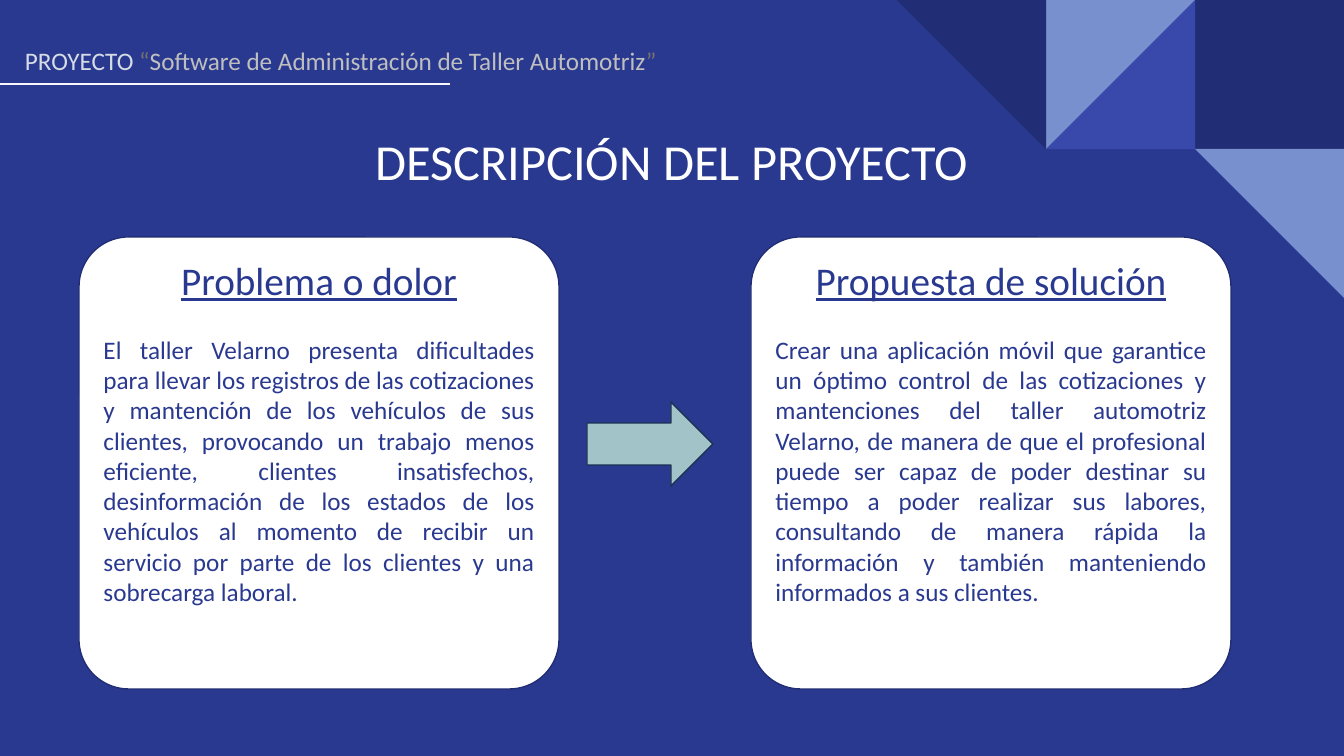
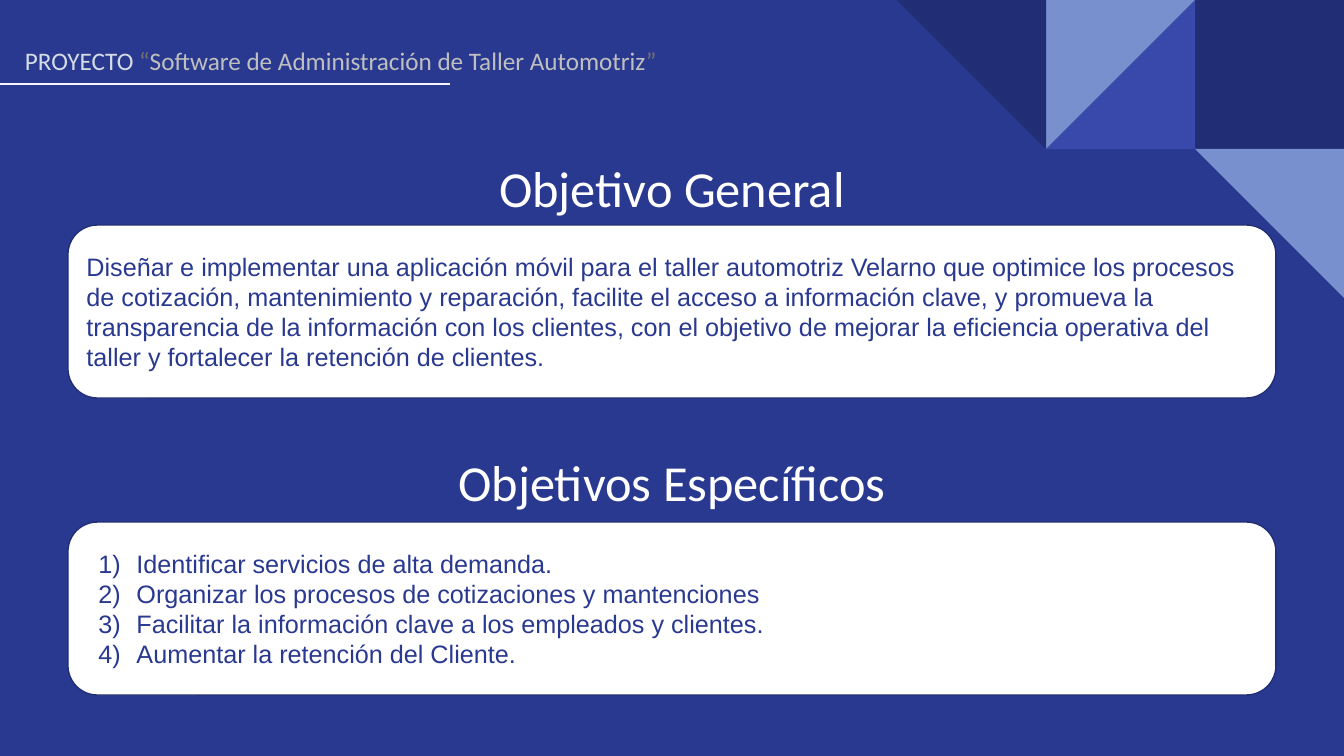
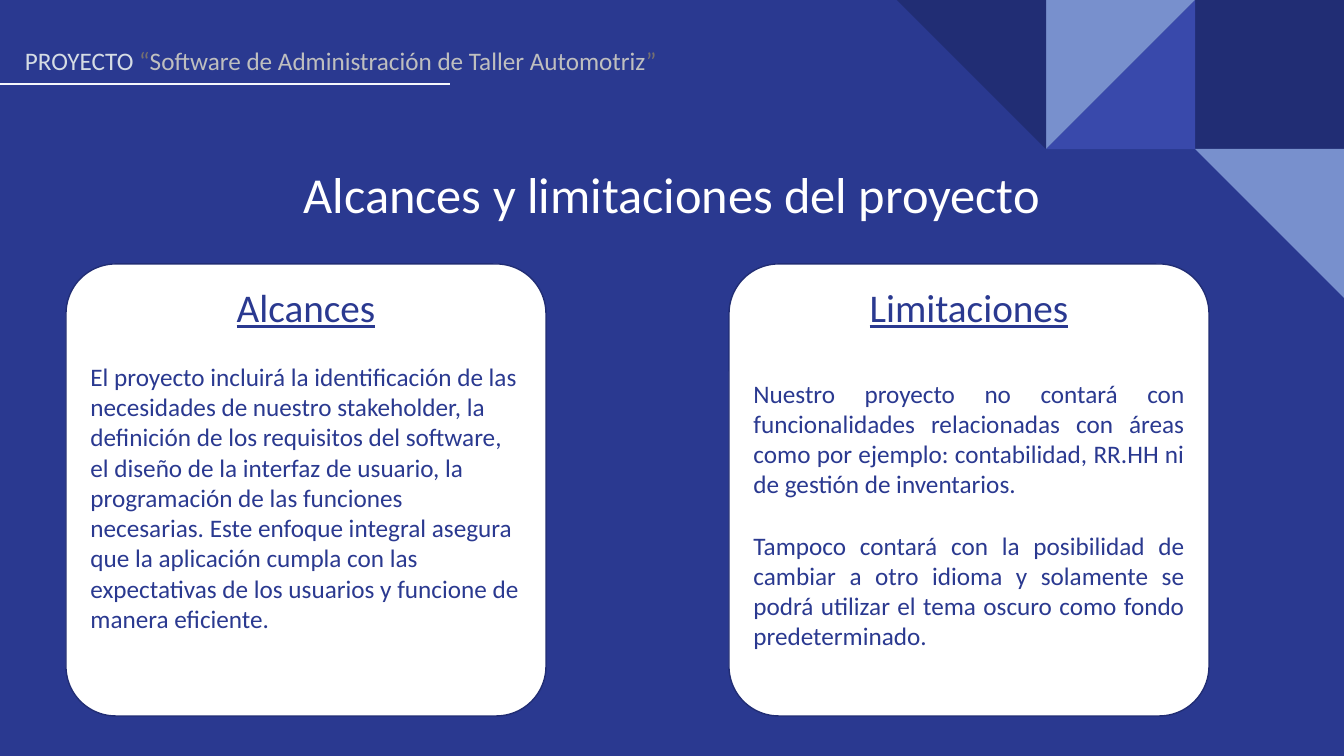
"""Builds three slides describing a workshop management software project."""
from lxml import etree
from pptx import Presentation
from pptx import util as u
from pptx.dml.color import RGBColor
from pptx.enum import shapes, text
from pptx.oxml.ns import qn

WIDTH, HEIGHT = 1344, 756
SCALE = 12192000 / WIDTH
COLORS = {
    "background": "2A3990", "navy": "212D74", "indigo": "3949AB", "sky": "7890CD",
    "white": "FFFFFF", "rule": "F5F7FC", "label": "D5DCE4", "quote": "757070",
    "project": "BFBFBF", "arrow": "A2C4C9", "arrow_edge": "1C3052",
}
LEFT, CENTER, JUSTIFY = text.PP_ALIGN.LEFT, text.PP_ALIGN.CENTER, text.PP_ALIGN.JUSTIFY
TOP, MIDDLE = text.MSO_ANCHOR.TOP, text.MSO_ANCHOR.MIDDLE
KIND = shapes.MSO_SHAPE

HEADER = [
    ("PROYECTO ", "label"), ("“", "quote"),
    ("Software de Administración de Taller Automotriz", "project"), ("”", "quote"),
]
TILE = 149
TILES = [
    (2, 0, KIND.RECTANGLE, 0, "navy"),
    (1, 0, KIND.RIGHT_TRIANGLE, 270, "indigo"),
    (1, 0, KIND.RIGHT_TRIANGLE, 90, "sky"),
    (0, 0, KIND.RIGHT_TRIANGLE, 180, "navy"),
    (2, 1, KIND.RIGHT_TRIANGLE, 180, "sky"),
]
CARD_SIZE = (480, 452)
PANEL_LEFT, PANEL_SIZE = 68, (1208, 173)

DESCRIPTION = {
    "title": ("DESCRIPCIÓN DEL PROYECTO", 125),
    "top": 237,
    "cards": [
        (79, "Problema o dolor", JUSTIFY, [
            (22, "El taller Velarno presenta dificultades para llevar los registros de las "
                 "cotizaciones y mantención de los vehículos de sus clientes, provocando un "
                 "trabajo menos eficiente, clientes insatisfechos, desinformación de los "
                 "estados de los vehículos al momento de recibir un servicio por parte de los "
                 "clientes y una sobrecarga laboral.")]),
        (751, "Propuesta de solución", JUSTIFY, [
            (22, "Crear una aplicación móvil que garantice un óptimo control de las "
                 "cotizaciones y mantenciones del taller automotriz Velarno, de manera de que "
                 "el profesional puede ser capaz de poder destinar su tiempo a poder realizar "
                 "sus labores, consultando de manera rápida la información y también "
                 "manteniendo informados a sus clientes.")]),
    ],
}
ARROW = (587, 402, 126, 84)
GENERAL = {
    "title": ("Objetivo General", 152), "top": 225, "numbered": False,
    "lines": [
        "Diseñar e implementar una aplicación móvil para el taller automotriz Velarno que "
        "optimice los procesos de cotización, mantenimiento y reparación, facilite el acceso "
        "a información clave, y promueva la transparencia de la información con los clientes, "
        "con el objetivo de mejorar la eficiencia operativa del taller y fortalecer la "
        "retención de clientes."],
}
SPECIFIC = {
    "title": ("Objetivos Específicos", 446), "top": 522, "numbered": True,
    "lines": [
        "Identificar servicios de alta demanda.",
        "Organizar los procesos de cotizaciones y mantenciones",
        "Facilitar la información clave a los empleados y clientes.",
        "Aumentar la retención del Cliente.",
    ],
}
SCOPE = {
    "title": ("Alcances y limitaciones del proyecto", 158),
    "top": 264,
    "cards": [
        (66, "Alcances", LEFT, [
            (22, "El proyecto incluirá la identificación de las necesidades de nuestro "
                 "stakeholder, la definición de los requisitos del software, el diseño de la "
                 "interfaz de usuario, la programación de las funciones necesarias. Este "
                 "enfoque integral asegura que la aplicación cumpla con las expectativas de "
                 "los usuarios y funcione de manera eficiente.")]),
        (729, "Limitaciones", JUSTIFY, [
            (34, "Nuestro proyecto no contará con funcionalidades relacionadas con áreas como "
                 "por ejemplo: contabilidad, RR.HH ni de gestión de inventarios."),
            (22, "Tampoco contará con la posibilidad de cambiar a otro idioma y solamente se "
                 "podrá utilizar el tema oscuro como fondo predeterminado.")]),
    ],
}


def px(length):
    return u.Emu(round(length * SCALE))


def box(*lengths):
    return [px(length) for length in lengths]


def rgb(color):
    return RGBColor.from_string(COLORS[color])


def add_run(paragraph, words, size, color, font="Calibri", underline=None):
    run = paragraph.add_run()
    run.text = words
    run.font.size, run.font.name, run.font.underline = u.Pt(size), font, underline
    run.font.color.rgb = rgb(color)


def next_paragraph(frame, align, gap=0):
    first = frame.paragraphs[0]
    paragraph = frame.add_paragraph() if first.runs else first
    paragraph.alignment = align
    paragraph.space_before = u.Pt(gap)
    return paragraph


def add_figure(slide, kind, place, fill, edge=None):
    figure = slide.shapes.add_shape(kind, *box(*place))
    figure.shadow.inherit = False
    figure.fill.solid()
    figure.fill.fore_color.rgb = rgb(fill)
    if edge:
        figure.line.color.rgb = rgb(edge)
        figure.line.width = u.Pt(1)
    else:
        figure.line.fill.background()
    return figure


def add_white_panel(slide, place, radius, anchor):
    panel = add_figure(slide, KIND.ROUNDED_RECTANGLE, place, "white", "navy")
    panel.adjustments[0] = radius
    frame = panel.text_frame
    frame.word_wrap, frame.vertical_anchor = True, anchor
    return frame


def write_title(holder, words):
    frame = holder.text_frame
    frame.word_wrap, frame.vertical_anchor = True, TOP
    add_run(next_paragraph(frame, CENTER), words, 36, "white")


def number(paragraph):
    props = paragraph._p.get_or_add_pPr()
    props.set("marL", str(px(50)))
    props.set("indent", str(-px(38)))
    tint = etree.SubElement(props, qn("a:buClr"))
    etree.SubElement(tint, qn("a:srgbClr"), val=COLORS["background"])
    etree.SubElement(props, qn("a:buFont"), typeface="Arial")
    etree.SubElement(props, qn("a:buAutoNum"), type="arabicParenR")


def start_slide(deck, title):
    slide = deck.slides.add_slide(deck.slide_layouts[5])
    words, top = title
    heading = slide.shapes.title
    heading.left, heading.top, heading.width, heading.height = box(0, top, WIDTH, 72)
    write_title(heading, words)

    for column, row, kind, turn, color in TILES:
        place = (WIDTH - (3 - column) * TILE, row * TILE, TILE, TILE)
        add_figure(slide, kind, place, color).rotation = turn

    header = slide.shapes.add_textbox(*box(15, 40, WIDTH - 15, 72)).text_frame
    header.word_wrap = True
    paragraph = next_paragraph(header, LEFT)
    for words, color in HEADER:
        add_run(paragraph, words, 18, color)

    rule = slide.shapes.add_connector(shapes.MSO_CONNECTOR.STRAIGHT, *box(0, 84, 450, 84))
    rule.line.color.rgb = rgb("rule")
    rule.line.width = u.Pt(1.25)
    etree.SubElement(rule._element.spPr, qn("a:effectLst"))
    return slide


def add_card_slide(deck, content):
    slide = start_slide(deck, content["title"])
    for left, heading, align, body in content["cards"]:
        frame = add_white_panel(slide, (left, content["top"], *CARD_SIZE), 0.11, TOP)
        add_run(next_paragraph(frame, CENTER), heading, 28, "background", underline=True)
        for gap, words in body:
            add_run(next_paragraph(frame, align, gap), words, 18, "background")
    return slide


def add_objectives(slide, content):
    place = (PANEL_LEFT, content["top"], *PANEL_SIZE)
    frame = add_white_panel(slide, place, 0.17, MIDDLE)
    for words in content["lines"]:
        paragraph = next_paragraph(frame, LEFT)
        if content["numbered"]:
            number(paragraph)
        add_run(paragraph, words, 18, "background", "Arial")


def main():
    deck = Presentation()
    deck.slide_width, deck.slide_height = box(WIDTH, HEIGHT)
    backdrop = deck.slide_master.background.fill
    backdrop.solid()
    backdrop.fore_color.rgb = rgb("background")

    description = add_card_slide(deck, DESCRIPTION)
    add_figure(description, KIND.RIGHT_ARROW, ARROW, "arrow", "arrow_edge")

    objectives = start_slide(deck, GENERAL["title"])
    words, top = SPECIFIC["title"]
    write_title(objectives.shapes.add_textbox(*box(0, top, WIDTH, 72)), words)
    for content in (GENERAL, SPECIFIC):
        add_objectives(objectives, content)

    add_card_slide(deck, SCOPE)
    deck.save("out.pptx")


if __name__ == "__main__":
    main()
